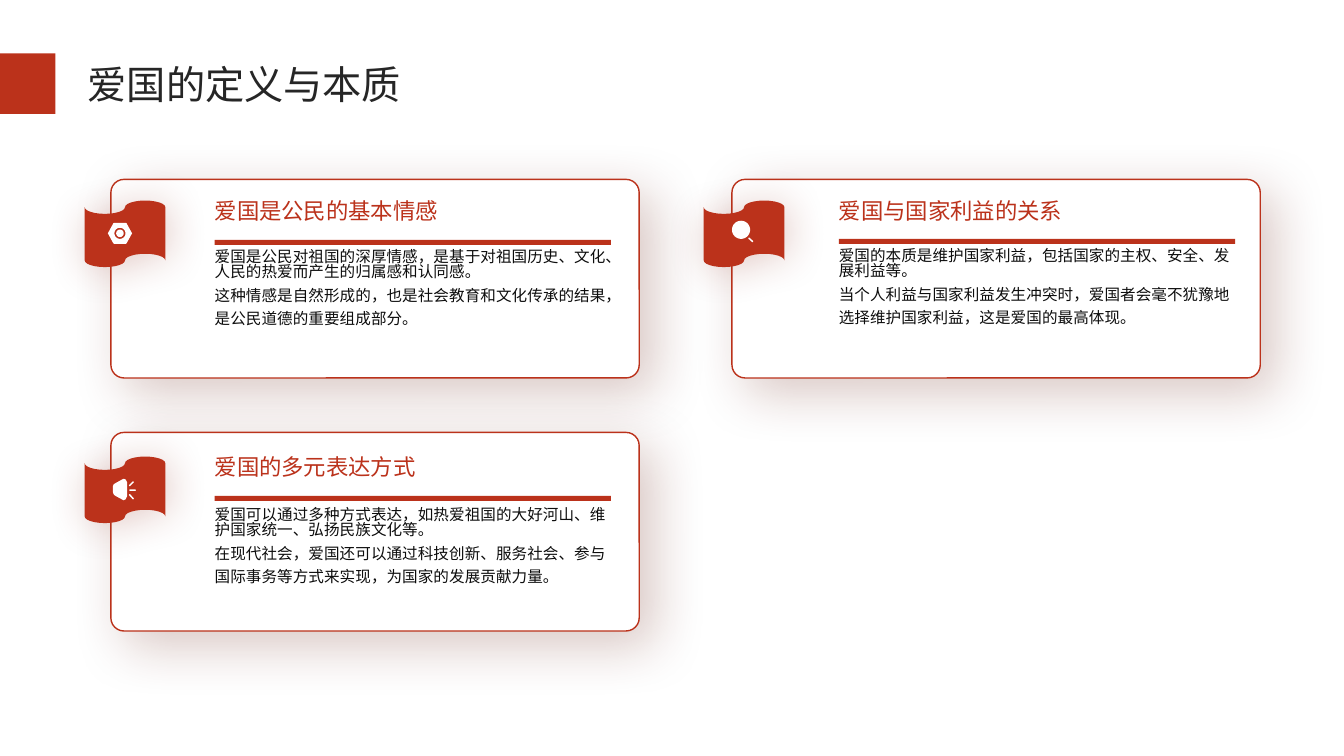
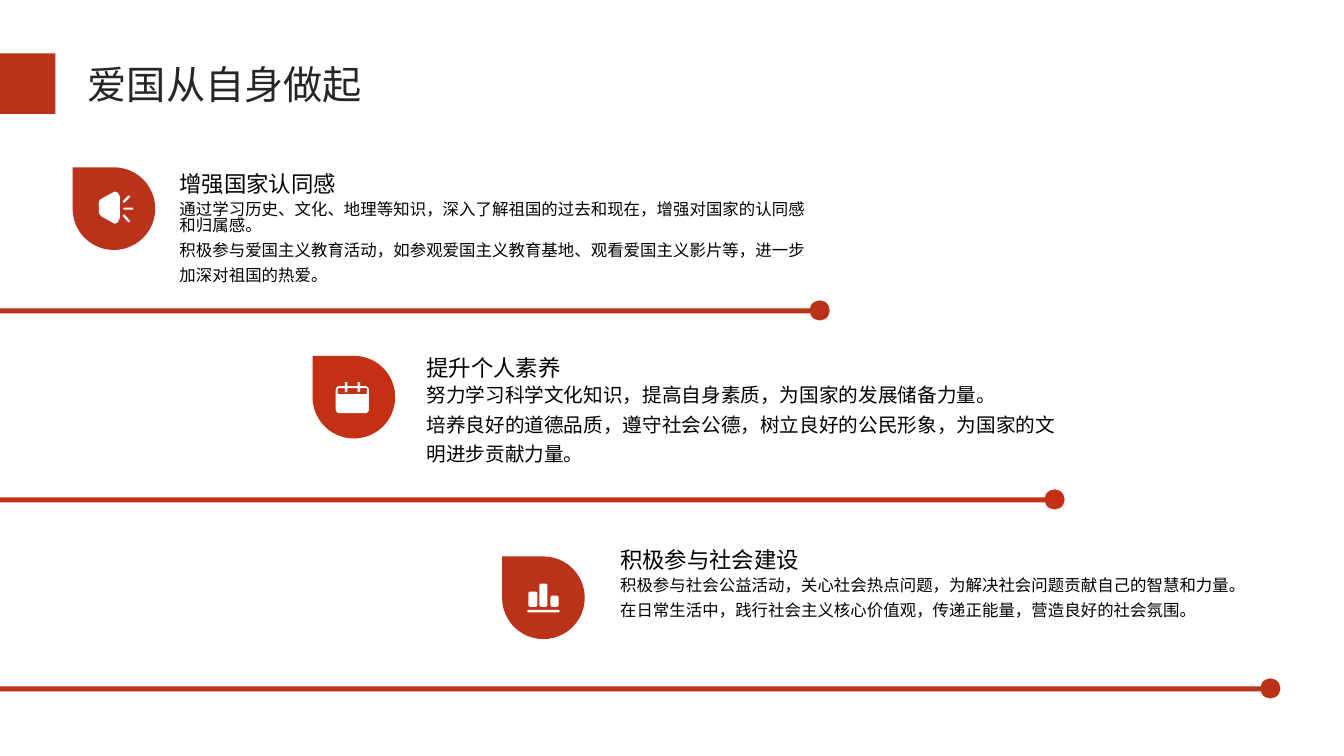
from math import atan2, cos, hypot, pi, sin

from lxml.etree import SubElement
from pptx import Presentation
from pptx.dml.color import RGBColor
from pptx.enum.shapes import MSO_SHAPE
from pptx.enum.text import MSO_ANCHOR
from pptx.oxml.ns import qn
from pptx.util import Inches, Pt

FONT = "Noto Sans CJK SC"
COLORS = {
    "red": "BB321B", "bright": "C33013", "white": "FFFFFF", "title": "262626",
    "ink": "0D0D0D", "black": "000000", "card_shadow": "621809", "flag_shadow": "8C2514",
}
FORMATS = {
    "title": {"size": 28, "color": "title", "spacing": [1.1], "anchor": MSO_ANCHOR.MIDDLE},
    "card_head": {"size": 16, "color": "red", "spacing": [0.9]},
    "card_body": {"size": 11.1, "color": "ink", "spacing": [0.83, 1.25]},
    "step_head": {"size": 16, "color": "black", "spacing": [1.3], "anchor": MSO_ANCHOR.BOTTOM},
    "step_body": {"size": 11.7, "color": "black", "spacing": [0.83, 1.25]},
}

CARD = {"left": 1.1, "top": 1.78, "width": 5.24, "height": 1.97, "column": 6.16, "row": 2.51}
CARDS_TITLE = "爱国的定义与本质"
CARDS = [
    {"cell": (0, 0), "flag": (-0.26, 0.21), "text": 1.03, "rule": 0.6, "body": 0.7,
     "icon": ("nut", 0.23, 0.22, 0.24),
     "head": "爱国是公民的基本情感",
     "lines": ["爱国是公民对祖国的深厚情感，是基于对祖国历史、文化、人民的热爱而产生的归属感和认同感。",
               "这种情感是自然形成的，也是社会教育和文化传承的结果，是公民道德的重要组成部分。"]},
    {"cell": (1, 0), "flag": (-0.28, 0.21), "text": 1.06, "rule": 0.59, "body": 0.69,
     "icon": ("lens", 0.28, 0.2, 0.21),
     "head": "爱国与国家利益的关系",
     "lines": ["爱国的本质是维护国家利益，包括国家的主权、安全、发展利益等。",
               "当个人利益与国家利益发生冲突时，爱国者会毫不犹豫地选择维护国家利益，这是爱国的最高体现。"]},
    {"cell": (0, 1), "flag": (-0.26, 0.24), "text": 1.03, "rule": 0.63, "body": 0.75,
     "icon": ("horn", 0.28, 0.22, 0.22),
     "head": "爱国的多元表达方式",
     "lines": ["爱国可以通过多种方式表达，如热爱祖国的大好河山、维护国家统一、弘扬民族文化等。",
               "在现代社会，爱国还可以通过科技创新、服务社会、参与国际事务等方式来实现，为国家的发展贡献力量。"]},
]

STEP = {"top": 3.06, "pitch": 1.875, "rule": 0.05, "dot": 0.2, "drop": 0.82, "width": 6.35}
STEPS_TITLE = "爱国从自身做起"
STEPS = [
    {"end": 8.13, "color": "red", "text": (1.78, 1.28), "drop": (0.72, 1.66), "size": 11.7,
     "icon": ("horn", 0.26, 0.24, 0.33),
     "head": "增强国家认同感",
     "lines": ["通过学习历史、文化、地理等知识，深入了解祖国的过去和现在，增强对国家的认同感和归属感。",
               "积极参与爱国主义教育活动，如参观爱国主义教育基地、观看爱国主义影片等，进一步加深对祖国的热爱。"]},
    {"end": 10.46, "color": "bright", "text": (4.23, 3.11), "drop": (3.1, 3.53), "size": 14,
     "icon": ("calendar", 0.23, 0.26, 0.33),
     "head": "提升个人素养",
     "lines": ["努力学习科学文化知识，提高自身素质，为国家的发展储备力量。",
               "培养良好的道德品质，遵守社会公德，树立良好的公民形象，为国家的文明进步贡献力量。"]},
    {"end": 12.6, "color": "red", "text": (6.15, 5.01), "drop": (4.98, 5.52), "size": 11.7,
     "icon": ("bars", 0.25, 0.27, 0.32),
     "head": "积极参与社会建设",
     "lines": ["积极参与社会公益活动，关心社会热点问题，为解决社会问题贡献自己的智慧和力量。",
               "在日常生活中，践行社会主义核心价值观，传递正能量，营造良好的社会氛围。"]},
]


def arc(x, y, radius, start=0, sweep=2 * pi, steps=32):
    angles = [start + sweep * i / steps for i in range(steps + 1)]
    return [(x + radius * cos(a), y + radius * sin(a)) for a in angles]


def rounded(left, top, right, bottom, r=0.01):
    corners = [(right - r, bottom - r), (left + r, bottom - r), (left + r, top + r), (right - r, top + r)]
    return [p for i, (x, y) in enumerate(corners) for p in arc(x, y, r, i * pi / 2, pi / 2, 6)]


def ray(x1, y1, x2, y2, thickness=2.2):
    angle = atan2(y2 - y1, x2 - x1)
    r = min(thickness, hypot(x2 - x1, y2 - y1)) / 2
    return arc(x2, y2, r, angle - pi / 2, pi, 8) + arc(x1, y1, r, angle + pi / 2, pi, 8)


ICONS = {
    "nut": (24, [[(6.5, 0), (17.5, 0), (18.5, 0.5), (24, 10.5), (18.5, 20.5), (17.5, 21),
                  (6.5, 21), (5.5, 20.5), (0, 10.5), (5.5, 0.5)],
                 arc(12, 10.5, 5.5), arc(12, 10.5, 3.7)]),
    "lens": (21, [arc(9, 9, 9), ray(17, 17.5, 20.3, 20.5, 1.5)]),
    "horn": (33, [[(0, 11), (1, 8.5), (3, 7), (14, 1), (16, 0), (19, 1.2), (21, 5), (21, 26),
                   (19, 30.5), (16, 32), (14, 31), (3, 25), (1, 23), (0, 20)],
                  ray(25, 10, 30, 5), ray(25.5, 17, 33, 17), ray(25, 24, 30, 29.5)]),
    "calendar": (33, [rounded(0, 4, 33, 31, 4), rounded(2, 6, 31, 12, 1)]
                 + [rounded(x, y, x + 2.5, y + 4) for x in (9, 21.8) for y in (0, 6)]),
    "bars": (32, [rounded(1, 8, 10, 23, 2), rounded(12, 0, 20, 23, 2),
                  rounded(23, 12, 31, 23, 2), rounded(0, 26, 32, 28.5, 1.2)]),
}


def rgb(name):
    return RGBColor.from_string(COLORS[name])


def paint(shape, fill, line=None):
    shape.shadow.inherit = False
    shape.fill.solid()
    shape.fill.fore_color.rgb = rgb(fill)
    if line:
        shape.line.color.rgb = rgb(line)
        shape.line.width = Pt(1)
    else:
        shape.line.fill.background()
    return shape


def block(slide, kind, box, fill, line=None):
    return paint(slide.shapes.add_shape(kind, *map(Inches, box)), fill, line)


def cast_shadow(shape, color, blur, distance):
    effects = shape._element.spPr.find(qn("a:effectLst"))
    shadow = SubElement(effects, qn("a:outerShdw"), blurRad=str(Pt(blur)), dist=str(Pt(distance)),
                        dir="2700000", algn="tl", rotWithShape="0")
    tint = SubElement(shadow, qn("a:srgbClr"), val=COLORS[color])
    SubElement(tint, qn("a:alpha"), val="23000")


def draw_icon(slide, icon, left, top):
    name, dx, dy, width = icon
    units, contours = ICONS[name]
    fine = [[(x * 100, y * 100) for x, y in contour] for contour in contours]
    builder = slide.shapes.build_freeform(*fine[0][0], scale=Inches(width) / units / 100)
    for i, contour in enumerate(fine):
        if i:
            builder.move_to(*contour[0])
        builder.add_line_segments(contour[1:], close=True)
    paint(builder.convert_to_shape(Inches(left + dx), Inches(top + dy)), "white")


def write(holder, lines, style):
    frame = holder.text_frame
    settings = {"word_wrap": True, "vertical_anchor": style.get("anchor", MSO_ANCHOR.TOP),
                "margin_left": 0, "margin_right": 0, "margin_top": 0, "margin_bottom": 0}
    for key, value in settings.items():
        setattr(frame, key, value)
    for i, line in enumerate(lines):
        paragraph = frame.paragraphs[0] if i == 0 else frame.add_paragraph()
        paragraph.line_spacing = style["spacing"][i]
        run = paragraph.add_run()
        run.text = line
        for key, value in {"name": FONT, "size": Pt(style["size"]), "bold": False}.items():
            setattr(run.font, key, value)
        run.font.color.rgb = rgb(style["color"])
        SubElement(run._r.rPr, qn("a:ea"), typeface=FONT)


def add_text(slide, box, lines, style):
    write(slide.shapes.add_textbox(*map(Inches, box)), lines, style)


def titled_slide(deck, heading):
    slide = deck.slides.add_slide(deck.slide_layouts[5])
    title = slide.shapes.title
    for key, value in {"left": 0.87, "top": 0.55, "width": 11.88, "height": 0.51}.items():
        setattr(title, key, Inches(value))
    write(title, [heading], {**FORMATS["title"]})
    title.text_frame.paragraphs[0].alignment = 1
    block(slide, MSO_SHAPE.RECTANGLE, (0, 0.53, 0.55, 0.6), "red")
    return slide


def draw_cards(slide):
    corners = [(CARD["left"] + c["cell"][0] * CARD["column"], CARD["top"] + c["cell"][1] * CARD["row"])
               for c in CARDS]
    for left, top in corners:
        panel = block(slide, MSO_SHAPE.ROUNDED_RECTANGLE,
                      (left, top, CARD["width"], CARD["height"]), "white", "red")
        panel.adjustments[0] = 0.066
        cast_shadow(panel, "card_shadow", 39, 14)
    for card, (left, top) in zip(CARDS, corners):
        flag_left, flag_top = left + card["flag"][0], top + card["flag"][1]
        flag = block(slide, MSO_SHAPE.FLOWCHART_PUNCHED_TAPE, (flag_left, flag_top, 0.8, 0.66), "red")
        cast_shadow(flag, "flag_shadow", 30, 3)
        draw_icon(slide, card["icon"], flag_left, flag_top)
        x = left + card["text"]
        add_text(slide, (x, flag_top, 3.93, 0.3), [card["head"]], FORMATS["card_head"])
        add_text(slide, (x, top + card["body"], 3.93, 1.14), card["lines"], FORMATS["card_body"])
        block(slide, MSO_SHAPE.RECTANGLE, (x, top + card["rule"], 3.93, 0.05), "red")


def draw_steps(slide):
    dot = STEP["dot"]
    for i, step in enumerate(STEPS):
        y = STEP["top"] + i * STEP["pitch"]
        block(slide, MSO_SHAPE.RECTANGLE, (0, y, step["end"], STEP["rule"]), step["color"])
        block(slide, MSO_SHAPE.OVAL, (step["end"] - dot / 2, y - 0.08, dot, dot), step["color"])
        drop = block(slide, MSO_SHAPE.TEAR, (*step["drop"], STEP["drop"], STEP["drop"]), step["color"])
        drop._element.spPr.xfrm.set("flipH", "1")
        draw_icon(slide, step["icon"], *step["drop"])
        x, top = step["text"]
        add_text(slide, (x, top, STEP["width"], 0.67), [step["head"]], FORMATS["step_head"])
        add_text(slide, (x, top + 0.73, STEP["width"], 0.97), step["lines"],
                 {**FORMATS["step_body"], "size": step["size"]})


def main():
    deck = Presentation()
    deck.slide_width, deck.slide_height = Inches(13.33), Inches(7.5)
    draw_cards(titled_slide(deck, CARDS_TITLE))
    draw_steps(titled_slide(deck, STEPS_TITLE))
    deck.save("out.pptx")


if __name__ == "__main__":
    main()
